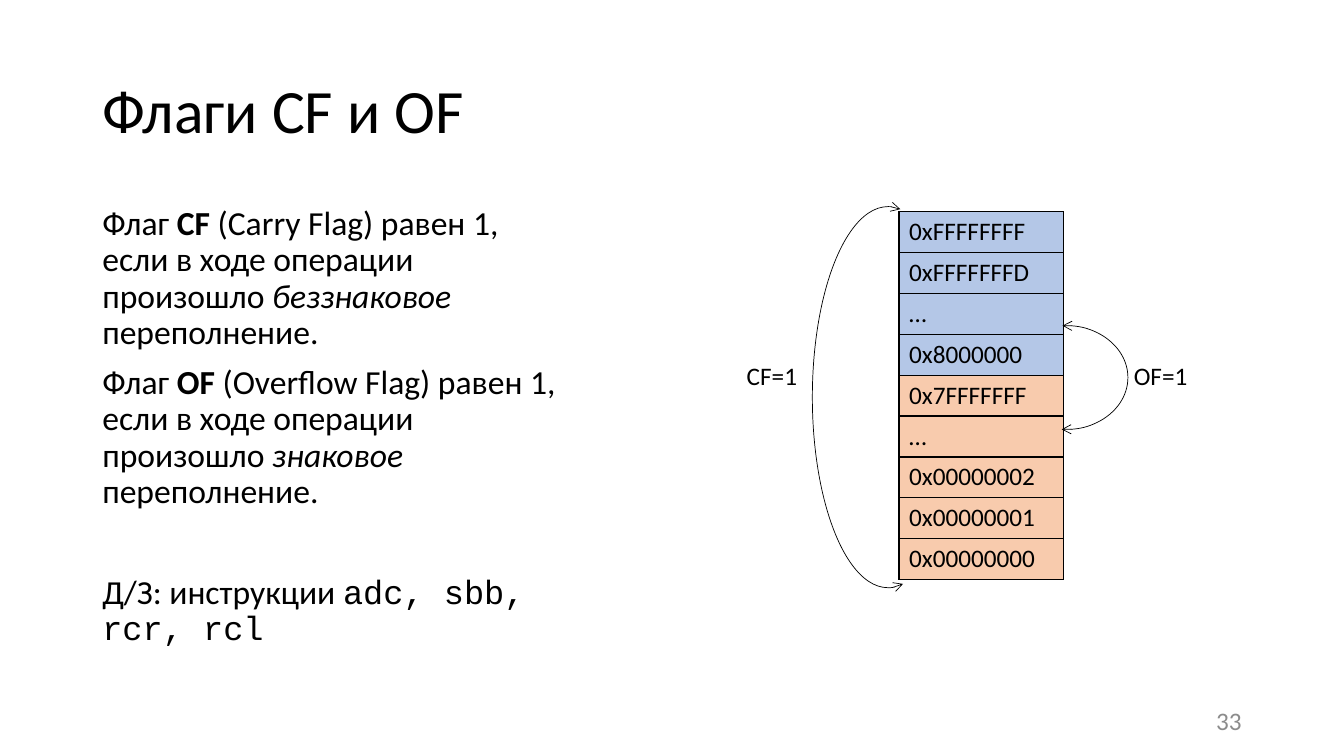
from lxml.etree import SubElement
from pptx import Presentation
from pptx.dml.color import RGBColor
from pptx.enum.shapes import MSO_SHAPE
from pptx.enum.text import MSO_ANCHOR, MSO_AUTO_SIZE, PP_ALIGN
from pptx.oxml.ns import qn
from pptx.util import Pt

COLOURS = {"black": "000000", "grey": "8C8C8C", "blue": "B4C7E7", "orange": "F8CBAD"}
NEGATIVE = ["0xFFFFFFFF", "0xFFFFFFFD", "…", "0x8000000"]
POSITIVE = ["0x7FFFFFFF", "…", "0x00000002", "0x00000001", "0x00000000"]
BOLD, ITALIC, CODE = {"bold": True}, {"italic": True}, {"name": "Courier New"}
BODY_SPACING = {"line_spacing": 0.9, "space_before": Pt(10)}


def colour(name):
    return RGBColor.from_string(COLOURS[name])


def apply(target, values):
    for name, value in values.items():
        setattr(target, name, value)


class SlideBuilder:
    font_name = "Calibri"
    row_height = 29.2

    def __init__(self, slide):
        self.slide = slide

    def fill_paragraph(self, paragraph, runs, size, ink="black", **spacing):
        """Fill a paragraph with (text, font values) pairs."""
        apply(paragraph, spacing)
        for text, values in runs:
            run = paragraph.add_run()
            run.text = text
            apply(run.font, {"name": self.font_name, "size": Pt(size), **values})
            run.font.color.rgb = colour(ink)

    def text_box(self, box, paragraphs, size, ink="black", **frame_values):
        """Add a text box from (runs, paragraph values) pairs."""
        frame = self.slide.shapes.add_textbox(*map(Pt, box)).text_frame
        apply(frame, {"word_wrap": True, **frame_values})
        for index, (runs, spacing) in enumerate(paragraphs):
            paragraph = frame.add_paragraph() if index else frame.paragraphs[0]
            self.fill_paragraph(paragraph, runs, size, ink, **spacing)

    def label(self, left, top, width, text):
        self.text_box((left, top, width, 29), [([(text, {})], {})], 18,
                      word_wrap=False, auto_size=MSO_AUTO_SIZE.SHAPE_TO_FIT_TEXT)

    def border(self, cell):
        properties = cell._tc.get_or_add_tcPr()
        for index, side in enumerate(("lnL", "lnR", "lnT", "lnB")):
            line = properties.makeelement(qn(f"a:{side}"), {"w": str(Pt(1))})
            fill = SubElement(line, qn("a:solidFill"))
            SubElement(fill, qn("a:srgbClr"), val=COLOURS["black"])
            properties.insert(index, line)

    def number_column(self, left, top, width, rows):
        """Add a one-column table from (text, fill colour) pairs."""
        table = self.slide.shapes.add_table(
            len(rows), 1, Pt(left), Pt(top), Pt(width), Pt(self.row_height * len(rows))).table
        apply(table, {"first_row": False, "horz_banding": False})
        for index, (text, fill) in enumerate(rows):
            table.rows[index].height = Pt(self.row_height)
            cell = table.cell(index, 0)
            cell.fill.solid()
            cell.fill.fore_color.rgb = colour(fill)
            self.border(cell)
            self.fill_paragraph(cell.text_frame.paragraphs[0], [(text, {})], 18)

    def double_arrow_arc(self, box, flipped=False):
        arc = self.slide.shapes.add_shape(MSO_SHAPE.ARC, *map(Pt, box))
        arc.adjustments[0], arc.adjustments[1] = 159.74, 56.77
        arc.shadow.inherit = False
        arc.fill.background()
        arc.line.width = Pt(0.5)
        arc.line.color.rgb = colour("black")
        line = arc.line._get_or_add_ln()
        for end in ("headEnd", "tailEnd"):
            SubElement(line, qn(f"a:{end}"), type="arrow")
        if flipped:
            arc._element.spPr.find(qn("a:xfrm")).set("flipH", "1")


def main():
    presentation = Presentation()
    presentation.slide_width, presentation.slide_height = Pt(960), Pt(540)
    builder = SlideBuilder(presentation.slides.add_slide(presentation.slide_layouts[6]))

    builder.text_box((66, 28.8, 828, 104.4),
                     [([("Флаги CF и OF", {})], {"line_spacing": 0.9})], 44,
                     vertical_anchor=MSO_ANCHOR.MIDDLE)
    builder.text_box((678, 500.5, 216, 28.8),
                     [([("33", {})], {"alignment": PP_ALIGN.RIGHT})], 18, "grey",
                     vertical_anchor=MSO_ANCHOR.MIDDLE)

    carry = [("Флаг ", {}), ("СF", BOLD),
             (" (Carry Flag) равен 1, если в ходе операции произошло ", {}),
             ("беззнаковое", ITALIC), (" переполнение.", {})]
    overflow = [("Флаг ", {}), ("OF", BOLD),
                (" (Overflow Flag) равен 1, если в ходе операции произошло", {}),
                (" знаковое ", ITALIC), ("переполнение.", {})]
    homework = [("Д/З: инструкции ", {}), ("adc, sbb, rcr, rcl", CODE)]
    builder.text_box((66, 144, 349.2, 342.7), [
        (carry, {"line_spacing": 0.9}),
        (overflow, BODY_SPACING),
        (homework, {**BODY_SPACING, "space_before": Pt(46.4)}),
    ], 24)

    builder.number_column(642.2, 151.2, 117.4, [(text, "blue") for text in NEGATIVE]
                          + [(text, "orange") for text in POSITIVE])
    builder.label(802.8, 253.5, 53.3, "OF=1")
    builder.double_arrow_arc((580.3, 147.6, 108, 272.2), flipped=True)
    builder.double_arrow_arc((717.1, 232.6, 88.6, 74.2))
    builder.label(526.3, 253.5, 51.1, "CF=1")
    presentation.save("out.pptx")


if __name__ == "__main__":
    main()
